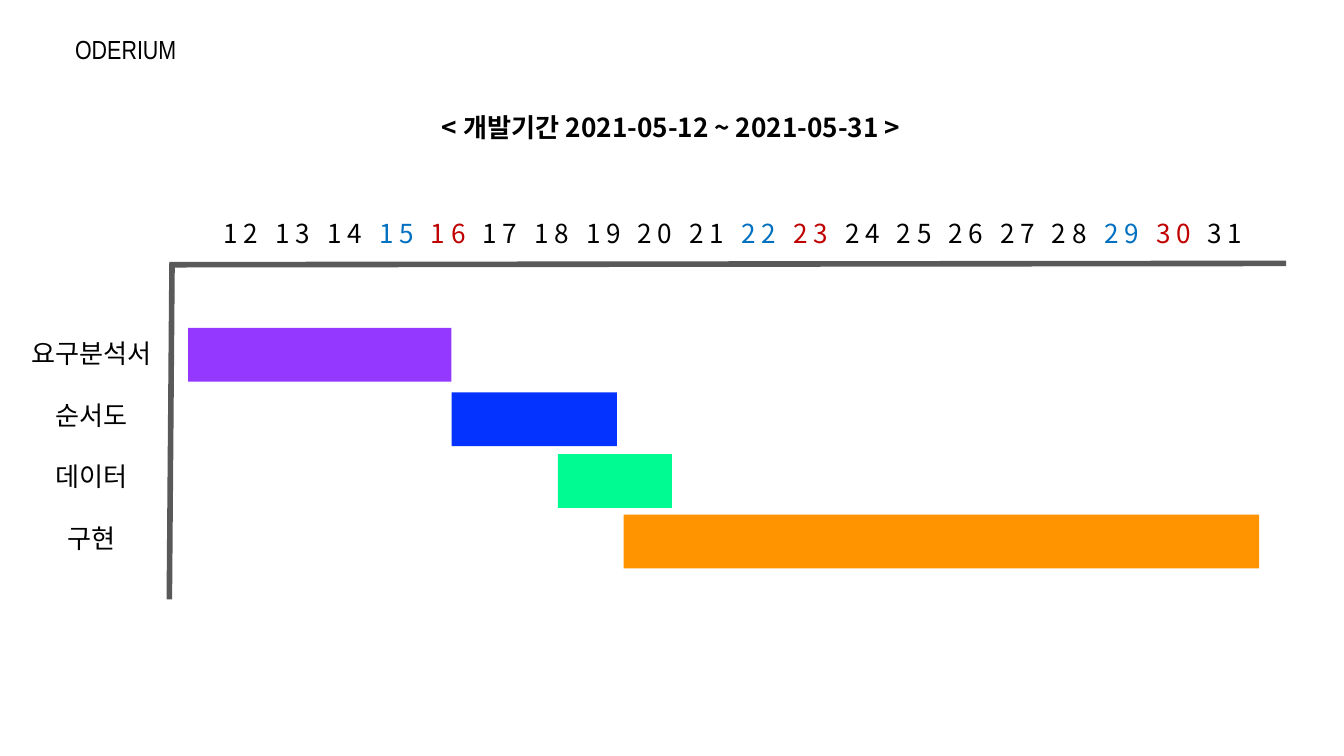
from itertools import groupby

from pptx import Presentation
from pptx.dml.color import RGBColor
from pptx.enum.shapes import MSO_CONNECTOR, MSO_SHAPE
from pptx.enum.text import MSO_ANCHOR, MSO_AUTO_SIZE, PP_ALIGN
from pptx.oxml.ns import qn
from pptx.util import Inches, Pt

STRAIGHT, RECTANGLE = MSO_CONNECTOR.STRAIGHT, MSO_SHAPE.RECTANGLE
LEFT, CENTER, TOP = PP_ALIGN.LEFT, PP_ALIGN.CENTER, MSO_ANCHOR.TOP
NO_AUTOFIT = MSO_AUTO_SIZE.NONE
TITLE_ONLY = 5
SLIDE_WIDTH = Inches(10)
SLIDE_HEIGHT = SLIDE_WIDTH * 9 // 16
KOREAN, NARROW = "Noto Sans CJK KR", "Arial Narrow"
COLORS = {
    "text": "000000", "saturday": "0070C0", "sunday": "C00000", "axis": "595959",
    "purple": "9437FF", "blue": "0432FF", "green": "00FB92", "orange": "FF9300",
}
# Task name, bar left, bar top, bar width, bar colour
TASKS = [
    ("요구분석서", 1.4, 2.44, 1.96, "purple"),
    ("순서도", 3.36, 2.92, 1.23, "blue"),
    ("데이터", 4.15, 3.38, 0.85, "green"),
    ("구현", 4.64, 3.83, 4.73, "orange"),
]
ROW_PITCH, BAR_HEIGHT = 0.46, 0.4


def rgb(name):
    """Return the named colour."""
    return RGBColor.from_string(COLORS[name])


def place(shape, box):
    """Move a shape to a box of left, top, width and height in inches."""
    for name, value in zip(("left", "top", "width", "height"), box):
        setattr(shape, name, Inches(value))


def fill_text(shape, runs, font=KOREAN, align=CENTER, inset=0.05, bold=False, spacing=0):
    """Write (text, colour) runs as one formatted paragraph."""
    frame = shape.text_frame
    frame_format = {
        "word_wrap": True, "auto_size": NO_AUTOFIT, "vertical_anchor": TOP,
        "margin_left": Inches(0.1), "margin_right": Inches(0.1),
        "margin_top": Inches(inset), "margin_bottom": Inches(inset),
    }
    for name, value in frame_format.items():
        setattr(frame, name, value)
    paragraph = frame.paragraphs[0]
    paragraph.alignment = align
    for text, color in runs:
        run = paragraph.add_run()
        run.text = text
        for name, value in {"name": font, "size": Pt(14), "bold": bold}.items():
            setattr(run.font, name, value)
        run.font.color.rgb = rgb(color)
        properties = run.font._element
        east_asian = properties.makeelement(qn("a:ea"), {"typeface": font})
        properties.find(qn("a:latin")).addnext(east_asian)
        if spacing:
            properties.set("spc", str(spacing * 100))


def add_text(slide, box, runs, **text_format):
    """Add a text box with formatted runs."""
    shape = slide.shapes.add_textbox(*map(Inches, box))
    fill_text(shape, runs, **text_format)


def add_header(slide, title_box, team_box):
    """Place the team name and the title."""
    add_text(slide, team_box, [("ODERIUM", "text")], font=NARROW, align=LEFT, inset=0.1)
    title = slide.shapes.title
    place(title, title_box)
    fill_text(title, [("< 개발기간 2021-05-12 ~ 2021-05-31 >", "text")], bold=True)


def add_axes(slide):
    """Draw the time axis and the task axis."""
    for ends in ((1.26, 1.97, 9.57, 1.96), (1.28, 1.96, 1.26, 4.46)):
        axis = slide.shapes.add_connector(STRAIGHT, *map(Inches, ends))
        axis.line.color.rgb = rgb("axis")
        axis.line.width = Pt(3)
        properties = axis._element.spPr
        properties.append(properties.makeelement(qn("a:effectLst"), {}))


def day_color(day):
    """Return the colour name for a day of May 2021."""
    return {1: "saturday", 2: "sunday"}.get(day % 7, "text")


def add_days(slide, box, first, last):
    """Write the day numbers with weekends in colour."""
    runs = [
        ("".join(f"{day} " if day < last else str(day) for day in days), color)
        for color, days in groupby(range(first, last + 1), day_color)
    ]
    add_text(slide, box, runs, spacing=3)


def add_tasks(slide, first_label_box):
    """Place a label and a bar for each task, downwards from the first label."""
    label_left, label_top, label_width, label_height = first_label_box
    for row, (name, left, top, width, color) in enumerate(TASKS):
        label_box = (label_left, label_top + row * ROW_PITCH, label_width, label_height)
        add_text(slide, label_box, [(name, "text")])
        bar_box = (left, top, width, BAR_HEIGHT)
        bar = slide.shapes.add_shape(RECTANGLE, *map(Inches, bar_box))
        bar.shadow.inherit = False
        bar.fill.solid()
        bar.fill.fore_color.rgb = rgb(color)
        bar.line.fill.background()


def main():
    """Build and save the schedule slide."""
    presentation = Presentation()
    presentation.slide_width, presentation.slide_height = SLIDE_WIDTH, SLIDE_HEIGHT
    slide = presentation.slides.add_slide(presentation.slide_layouts[TITLE_ONLY])
    add_header(slide, (2.09, 0.78, 5.81, 0.34), (0.46, 0.15, 1.09, 0.44))
    add_axes(slide)
    add_days(slide, (1.16, 1.57, 8.59, 0.34), 12, 31)
    add_tasks(slide, (-0.19, 2.46, 1.74, 0.34))
    presentation.save("out.pptx")


main()
